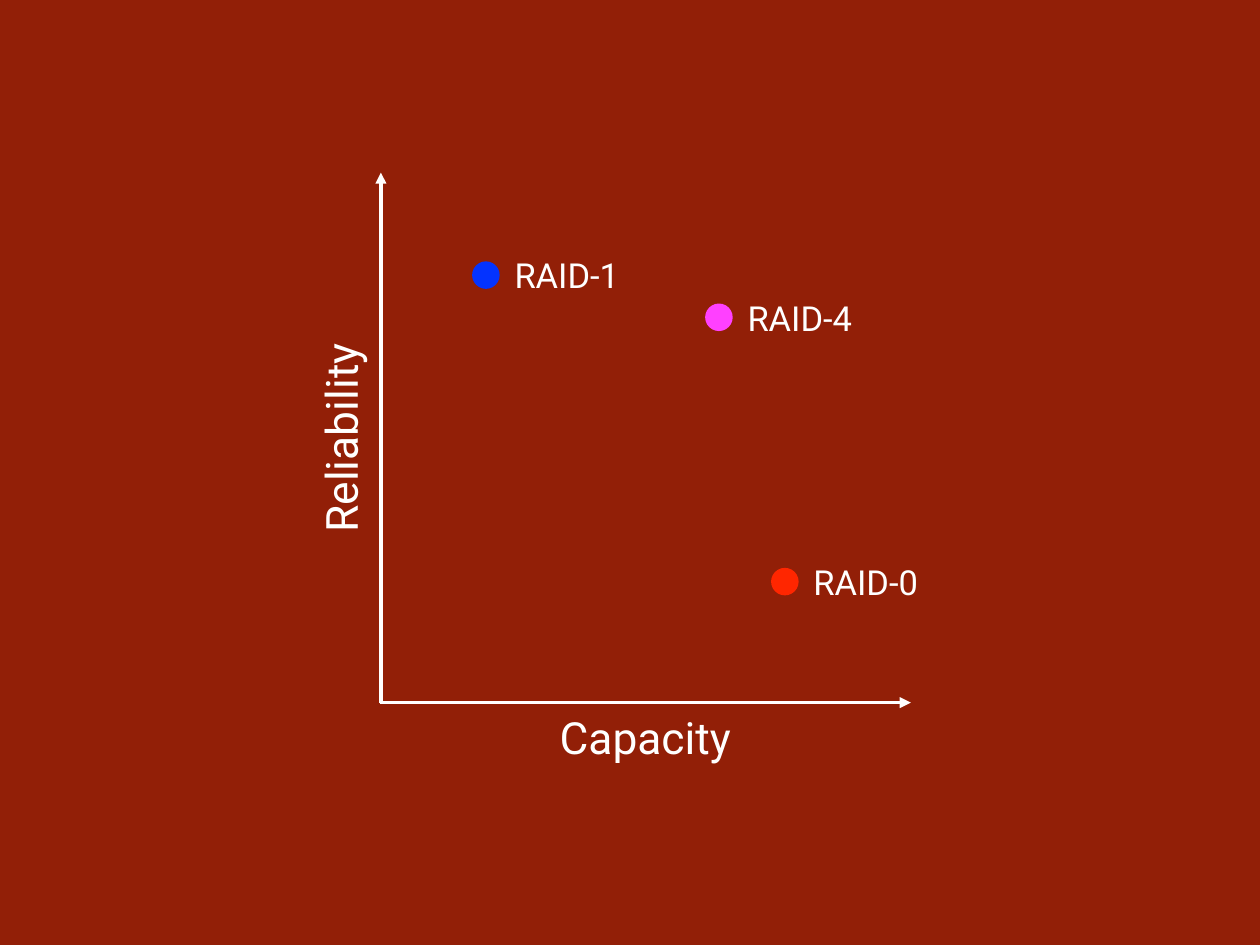
"""Build a slide that places RAID levels by capacity and reliability."""
import pptx
import pptx.dml.color
import pptx.enum.shapes
import pptx.enum.text
import pptx.oxml
import pptx.oxml.ns
import pptx.util

Cm = pptx.util.Cm
Pt = pptx.util.Pt
RGBColor = pptx.dml.color.RGBColor
Align = pptx.enum.text.PP_ALIGN

BACKGROUND = RGBColor(0x92, 0x1F, 0x07)
WHITE = RGBColor(0xFF, 0xFF, 0xFF)
RED = RGBColor(0xFF, 0x26, 0x00)
BLUE = RGBColor(0x04, 0x33, 0xFF)
PINK = RGBColor(0xFF, 0x40, 0xFF)

FONT = "Roboto"
SLIDE_SIZE = (36.12, 27.1)
AXES = [
    ((10.9, 20.15), (26.11, 20.15)),
    ((10.92, 20.17), (10.92, 4.95)),
]
AXIS_TITLES = [
    ("Capacity", (18.5, 21.12), 5.41, 0),
    ("Reliability", (9.75, 12.56), 5.74, 270),
]
RAID_LEVELS = [
    ("RAID-0", (22.5, 16.68), RED),
    ("RAID-1", (13.93, 7.89), BLUE),
    ("RAID-4", (20.61, 9.1), PINK),
]
DOT_SIZE = 0.79
TITLE_HEIGHT = 1.8
LABEL_WIDTH, LABEL_HEIGHT = 3.51, 1.47
LABEL_GAP = 0.67
INSET = 0.15


def centred(center, width, height):
    """Return left, top, width and height of a frame around its center."""
    x, y = center
    return Cm(x - width / 2), Cm(y - height / 2), Cm(width), Cm(height)


def add_axis(page, start, end):
    """Draw a white arrow from start to end."""
    axis = page.shapes.add_connector(
        pptx.enum.shapes.MSO_CONNECTOR.STRAIGHT, *map(Cm, start + end))
    axis.line.color.rgb = WHITE
    axis.line.width = Pt(3)
    arrowhead = pptx.oxml.parse_xml(
        f'<a:tailEnd {pptx.oxml.ns.nsdecls("a")} type="triangle"/>')
    axis.line._get_or_add_ln().append(arrowhead)
    properties = axis._element.spPr
    properties.append(pptx.oxml.parse_xml(
        f'<a:effectLst {pptx.oxml.ns.nsdecls("a")}/>'))


def add_text(page, text, frame, size, alignment):
    """Add one line of white text and return its box."""
    box = page.shapes.add_textbox(*frame)
    body = box.text_frame
    body.word_wrap = False
    body.vertical_anchor = pptx.enum.text.MSO_ANCHOR.MIDDLE
    body.margin_left = body.margin_right = Cm(INSET)
    body.margin_top = body.margin_bottom = Cm(INSET)
    para = body.paragraphs[0]
    para.alignment = alignment
    span = para.add_run()
    span.text = text
    span.font.name = FONT
    span.font.size = Pt(size)
    span.font.color.rgb = WHITE
    return box


def add_level(page, name, center, color):
    """Add a dot with its label to the right."""
    dot = page.shapes.add_shape(
        pptx.enum.shapes.MSO_SHAPE.OVAL, *centred(center, DOT_SIZE, DOT_SIZE))
    dot.shadow.inherit = False
    dot.fill.solid()
    dot.fill.fore_color.rgb = color
    dot.line.fill.background()
    x, y = center
    label_center = (x + LABEL_GAP + LABEL_WIDTH / 2, y)
    add_text(page, name, centred(label_center, LABEL_WIDTH, LABEL_HEIGHT),
             28, Align.LEFT)


def main():
    """Assemble and save the slide."""
    deck = pptx.Presentation()
    deck.slide_width, deck.slide_height = map(Cm, SLIDE_SIZE)
    page = deck.slides.add_slide(deck.slide_layouts[6])
    page.background.fill.solid()
    page.background.fill.fore_color.rgb = BACKGROUND
    for start, end in AXES:
        add_axis(page, start, end)
    for text, center, width, rotation in AXIS_TITLES:
        box = add_text(page, text, centred(center, width, TITLE_HEIGHT),
                       36, Align.CENTER)
        box.rotation = rotation
    for name, center, color in RAID_LEVELS:
        add_level(page, name, center, color)
    deck.save("out.pptx")


if __name__ == "__main__":
    main()
